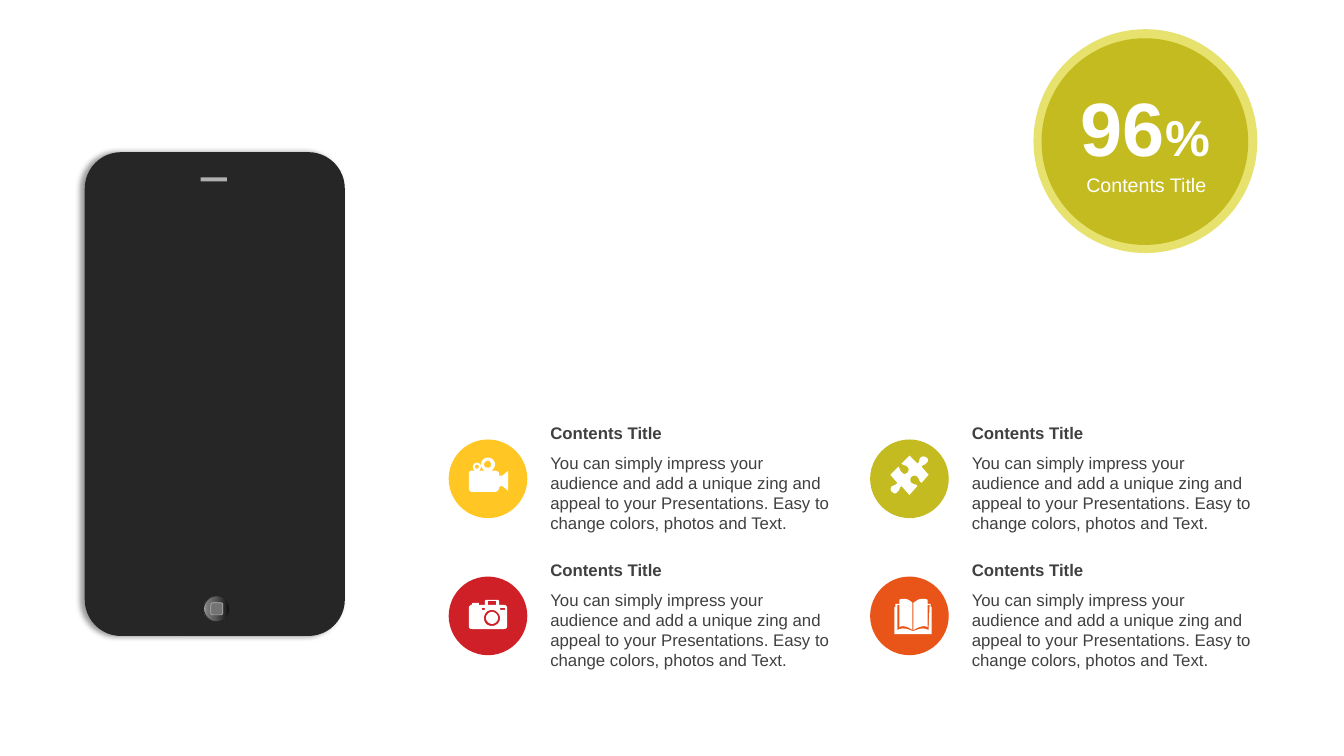
from lxml import etree
from pptx import Presentation
from pptx.dml.color import RGBColor
from pptx.enum.shapes import MSO_SHAPE
from pptx.enum.text import MSO_ANCHOR, MSO_AUTO_SIZE, PP_ALIGN
from pptx.oxml import parse_xml
from pptx.oxml.ns import nsdecls, qn
from pptx.util import Inches, Pt

WHITE = RGBColor(0xFF, 0xFF, 0xFF)
TEXT = RGBColor(0x40, 0x40, 0x40)
PHONE = RGBColor(0x26, 0x26, 0x26)
SILVER = RGBColor(0xB0, 0xB0, 0xB0)
BUTTON = RGBColor(0x73, 0x73, 0x73)
PALE_OLIVE = RGBColor(0xE7, 0xE1, 0x6E)
OLIVE = RGBColor(0xC4, 0xBB, 0x20)
YELLOW = RGBColor(0xFF, 0xC6, 0x24)
RED = RGBColor(0xD0, 0x20, 0x27)
ORANGE = RGBColor(0xE9, 0x55, 0x19)
HOME_STOPS = [(0, "0F0F0F"), (56, "595959"), (91, "808080"), (100, "BFBFBF")]

CAPTION = "Contents Title"
BODY = ("You can simply impress your audience and add a unique zing and appeal "
        "to your Presentations. Easy to change colors, photos and Text.")

VIDEO = ["""4.73 4.61 C 4.72 4.61 4.71 4.62 4.71 4.63 C 4.71 4.64 4.72 4.65 4.73 4.65
C 4.74 4.65 4.75 4.64 4.75 4.63 C 4.75 4.62 4.74 4.61 4.73 4.61""",
         """4.84 4.57 C 4.82 4.57 4.8 4.59 4.8 4.61 C 4.8 4.63 4.82 4.64 4.84 4.64
C 4.86 4.64 4.87 4.63 4.87 4.61 C 4.87 4.59 4.86 4.57 4.84 4.57""",
         """4.84 4.54 C 4.88 4.54 4.91 4.57 4.91 4.61 C 4.91 4.63 4.89 4.66 4.87 4.67
L 4.91 4.67 C 4.93 4.67 4.95 4.68 4.95 4.7 L 4.95 4.72 L 4.98 4.72
L 5.04 4.67 L 5.04 4.87 L 4.98 4.82 L 4.95 4.83 L 4.95 4.84
C 4.95 4.86 4.93 4.88 4.91 4.88 L 4.68 4.88 C 4.66 4.88 4.65 4.86 4.65 4.84
L 4.65 4.7 C 4.65 4.68 4.66 4.67 4.68 4.67 L 4.71 4.67
C 4.7 4.66 4.69 4.65 4.69 4.63 C 4.69 4.61 4.71 4.59 4.73 4.59
C 4.75 4.59 4.77 4.61 4.77 4.63 C 4.77 4.65 4.76 4.66 4.75 4.67 L 4.81 4.67
C 4.79 4.66 4.77 4.63 4.77 4.61 C 4.77 4.57 4.8 4.54 4.84 4.54"""]
PUZZLE = ["""9.19 4.54 C 9.21 4.55 9.21 4.58 9.19 4.59 C 9.18 4.62 9.16 4.6 9.14 4.63
L 9.21 4.71 L 9.14 4.79 C 9.11 4.77 9.12 4.75 9.1 4.73
C 9.08 4.71 9.05 4.72 9.04 4.73 C 9.03 4.74 9.02 4.77 9.04 4.79
C 9.07 4.81 9.08 4.8 9.1 4.82 L 9.02 4.91 L 8.94 4.82
C 8.91 4.85 8.93 4.86 8.9 4.88 C 8.89 4.9 8.86 4.9 8.85 4.88
C 8.83 4.87 8.83 4.85 8.84 4.83 C 8.86 4.81 8.88 4.82 8.9 4.79
L 8.83 4.71 L 8.91 4.63 C 8.93 4.65 8.92 4.67 8.95 4.69
C 8.96 4.71 8.99 4.7 9 4.69 C 9.01 4.68 9.02 4.65 9 4.63
C 8.97 4.61 8.97 4.62 8.94 4.6 L 9.02 4.52 L 9.1 4.6
C 9.13 4.57 9.11 4.56 9.13 4.54 C 9.15 4.52 9.18 4.53 9.19 4.54"""]
CAMERA = ["""4.88 6.07 C 4.91 6.07 4.94 6.1 4.94 6.13 C 4.94 6.16 4.91 6.19 4.88 6.19
C 4.85 6.19 4.82 6.16 4.82 6.13 C 4.82 6.1 4.85 6.07 4.88 6.07""",
          """4.88 6.05 C 4.83 6.05 4.8 6.09 4.8 6.13 C 4.8 6.18 4.83 6.21 4.88 6.21
C 4.92 6.21 4.96 6.18 4.96 6.13 C 4.96 6.09 4.92 6.05 4.88 6.05""",
          "4.78 6.03 L 4.78 6.05 L 4.81 6.05 L 4.81 6.03",
          "4.96 6.03 L 4.96 6.05 L 5.01 6.05 L 5.01 6.03",
          "4.84 5.96 L 4.84 6 L 4.92 6 L 4.92 5.96",
          """4.82 5.95 L 4.93 5.95 C 4.94 5.95 4.95 5.96 4.95 5.96 L 4.95 6 L 5 6
C 5.02 6 5.03 6.02 5.03 6.03 L 5.03 6.21 C 5.03 6.23 5.02 6.24 5 6.24
L 4.68 6.24 C 4.66 6.24 4.65 6.23 4.65 6.21 L 4.65 6.03
C 4.65 6.02 4.66 6 4.68 6 L 4.68 5.99 L 4.69 5.98 L 4.75 5.98 L 4.75 6
L 4.81 6 L 4.81 5.96 C 4.81 5.96 4.82 5.95 4.82 5.95"""]
BOOK = ["""9.05 6.26 L 9.06 6.26 C 9.12 6.24 9.15 6.22 9.21 6.25 L 9.22 6 L 9.2 6
L 9.2 6.22 C 9.16 6.2 9.11 6.22 9.06 6.25 L 9.06 5.98
C 9.09 5.96 9.11 5.94 9.15 5.94 C 9.16 5.94 9.18 5.94 9.2 5.95 L 9.2 5.99
L 9.23 5.99 L 9.23 6.02 L 9.24 6.02 L 9.24 6.29 L 8.87 6.29 L 8.87 6.02
L 8.88 6.02 L 8.88 5.99 L 8.92 5.99 L 8.92 5.95 C 8.94 5.94 8.95 5.94 8.97 5.94
C 9 5.94 9.03 5.96 9.05 5.98 L 9.05 6.25 C 9.01 6.22 8.96 6.2 8.92 6.22
L 8.92 6 L 8.9 6 L 8.9 6.25 C 8.96 6.22 9 6.24 9.05 6.26"""]

FEATURES = [(YELLOW, VIDEO), (OLIVE, PUZZLE), (RED, CAMERA), (ORANGE, BOOK)]


def curve_points(start, controls, steps=6):
    a, b, c, d = start, *controls
    for step in range(1, steps + 1):
        t = step / steps
        u = 1 - t
        yield tuple(u**3 * p + 3 * u * u * t * q + 3 * u * t * t * r + t**3 * s
                    for p, q, r, s in zip(a, b, c, d))


def contour_points(contour):
    points = []
    for segment in contour.replace("C", "L").split("L"):
        numbers = [Inches(float(number)) for number in segment.split()]
        pairs = list(zip(numbers[::2], numbers[1::2]))
        points += curve_points(points[-1], pairs) if len(pairs) == 3 else pairs
    return points


class SlideArtist:
    font = "Arial"

    def __init__(self, slide):
        self.shapes = slide.shapes

    def shape(self, kind, left, top, width, height, color):
        shape = self.shapes.add_shape(
            kind, Inches(left), Inches(top), Inches(width), Inches(height))
        return self.paint(shape, color)

    def circle(self, left, top, size, color):
        return self.shape(MSO_SHAPE.OVAL, left, top, size, size, color)

    def paint(self, shape, color):
        shape.shadow.inherit = False
        shape.fill.solid()
        shape.fill.fore_color.rgb = color
        shape.line.fill.background()
        return shape

    def outline(self, shape, color, width):
        shape.line.color.rgb = color
        shape.line.width = Pt(width)

    def left_shadow(self, shape):
        effects = shape.element.spPr.find(qn("a:effectLst"))
        effects.append(parse_xml(
            f'<a:outerShdw {nsdecls("a")} blurRad="{Pt(4)}" dist="{Pt(3)}" '
            'dir="10800000" algn="r" rotWithShape="0"><a:srgbClr val="000000">'
            '<a:alpha val="40000"/></a:srgbClr></a:outerShdw>'))

    def gradient(self, shape, stops, angle):
        shape.fill.gradient()
        shape.fill.gradient_angle = angle
        stop_list = shape.element.spPr.find(qn("a:gradFill")).find(qn("a:gsLst"))
        for stop in list(stop_list):
            stop_list.remove(stop)
        for position, color in stops:
            stop = etree.SubElement(stop_list, qn("a:gs"), pos=str(position * 1000))
            etree.SubElement(stop, qn("a:srgbClr"), val=color)

    def icon(self, contours, color):
        first, *others = map(contour_points, contours)
        builder = self.shapes.build_freeform(*first[0])
        builder.add_line_segments(first[1:], close=True)
        for points in others:
            builder.move_to(*points[0])
            builder.add_line_segments(points[1:], close=True)
        self.paint(builder.convert_to_shape(), color)

    def text(self, left, top, width, height, runs, color, align=PP_ALIGN.LEFT):
        box = self.shapes.add_textbox(
            Inches(left), Inches(top), Inches(width), Inches(height))
        frame = box.text_frame
        frame.word_wrap = True
        frame.auto_size = MSO_AUTO_SIZE.SHAPE_TO_FIT_TEXT
        paragraph = frame.paragraphs[0]
        paragraph.alignment = align
        for words, size, bold in runs:
            run = paragraph.add_run()
            run.text = words
            run.font.name = self.font
            run.font.size = Pt(size)
            run.font.bold = bold
            run.font.color.rgb = color
        return frame


def main():
    deck = Presentation()
    deck.slide_width, deck.slide_height = Inches(13.33), Inches(7.5)
    artist = SlideArtist(deck.slides.add_slide(deck.slide_layouts[6]))

    phone = artist.shape(MSO_SHAPE.ROUNDED_RECTANGLE, 0.84, 1.51, 2.58, 4.8, PHONE)
    phone.adjustments[0] = 0.14
    artist.left_shadow(phone)
    artist.shape(MSO_SHAPE.RECTANGLE, 1.99, 1.76, 0.26, 0.04, SILVER)
    home = artist.circle(2.02, 5.91, 0.26, PHONE)
    artist.gradient(home, HOME_STOPS, 180)
    artist.outline(home, PHONE, 0)
    home_mark = artist.shape(
        MSO_SHAPE.ROUNDED_RECTANGLE, 2.09, 5.98, 0.12, 0.12, BUTTON)
    artist.outline(home_mark, SILVER, 0.5)

    artist.circle(10.25, 0.29, 2.22, PALE_OLIVE)
    artist.circle(10.33, 0.38, 2.05, OLIVE)
    score = artist.text(10.57, 0.8, 1.58, 0.91,
                        [("96", 54, True), ("%", 36, True)], WHITE, PP_ALIGN.CENTER)
    score.vertical_anchor = MSO_ANCHOR.MIDDLE
    score.margin_left = score.margin_right = 0
    score.margin_top = score.margin_bottom = 0
    artist.text(10.59, 1.67, 1.56, 0.34, [(CAPTION, 14, False)], WHITE,
                PP_ALIGN.CENTER)

    for index, (color, contours) in enumerate(FEATURES):
        row, column = divmod(index, 2)
        left, top = 4.45 + 4.18 * column, 4.14 + 1.36 * row
        artist.circle(left, top + 0.22, 0.78, color)
        artist.icon(contours, WHITE)
        artist.text(left + 0.91, top, 3.03, 0.3, [(CAPTION, 12, True)], TEXT)
        artist.text(left + 0.91, top + 0.3, 3.03, 0.91, [(BODY, 12, False)], TEXT)

    deck.save("out.pptx")


if __name__ == "__main__":
    main()
